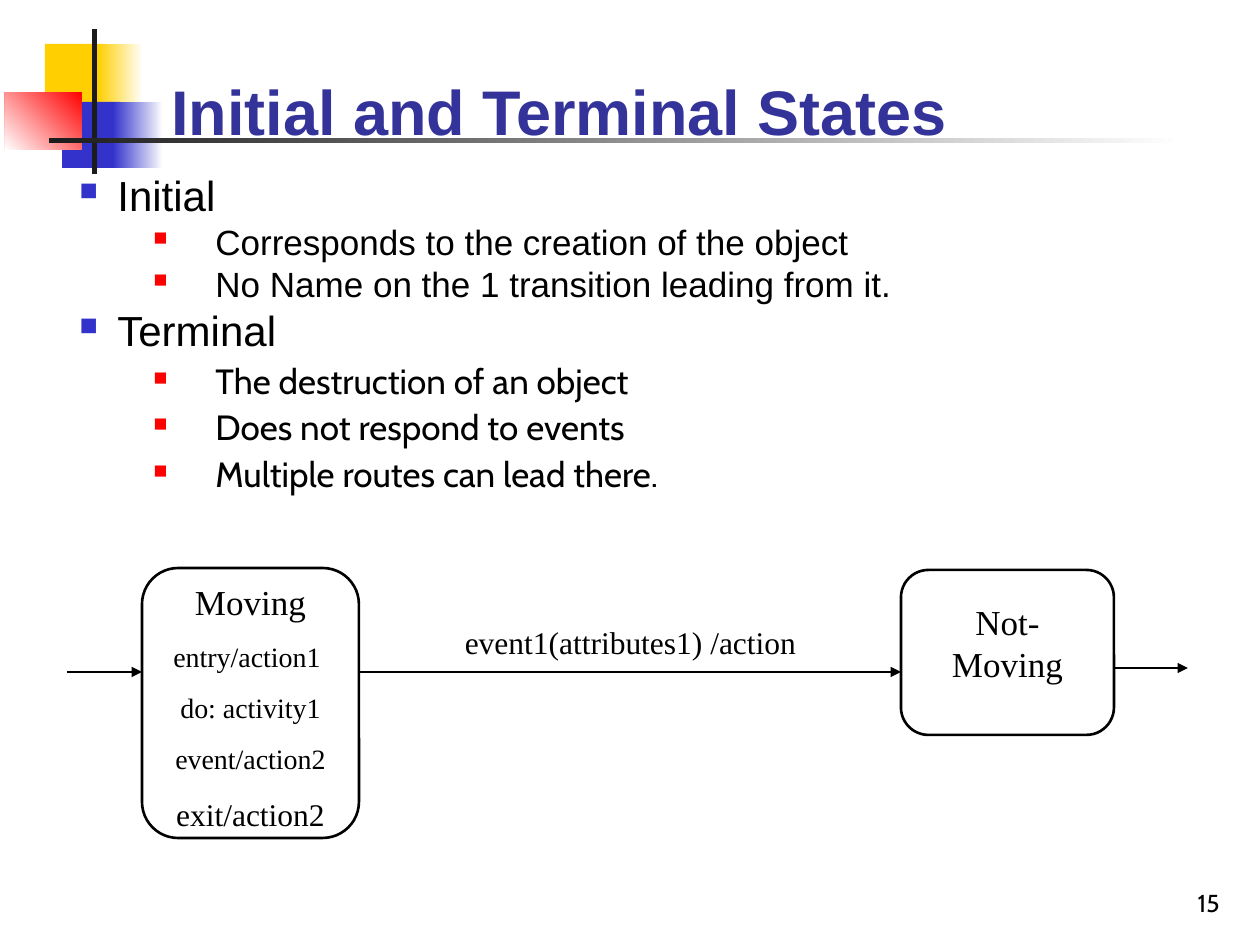
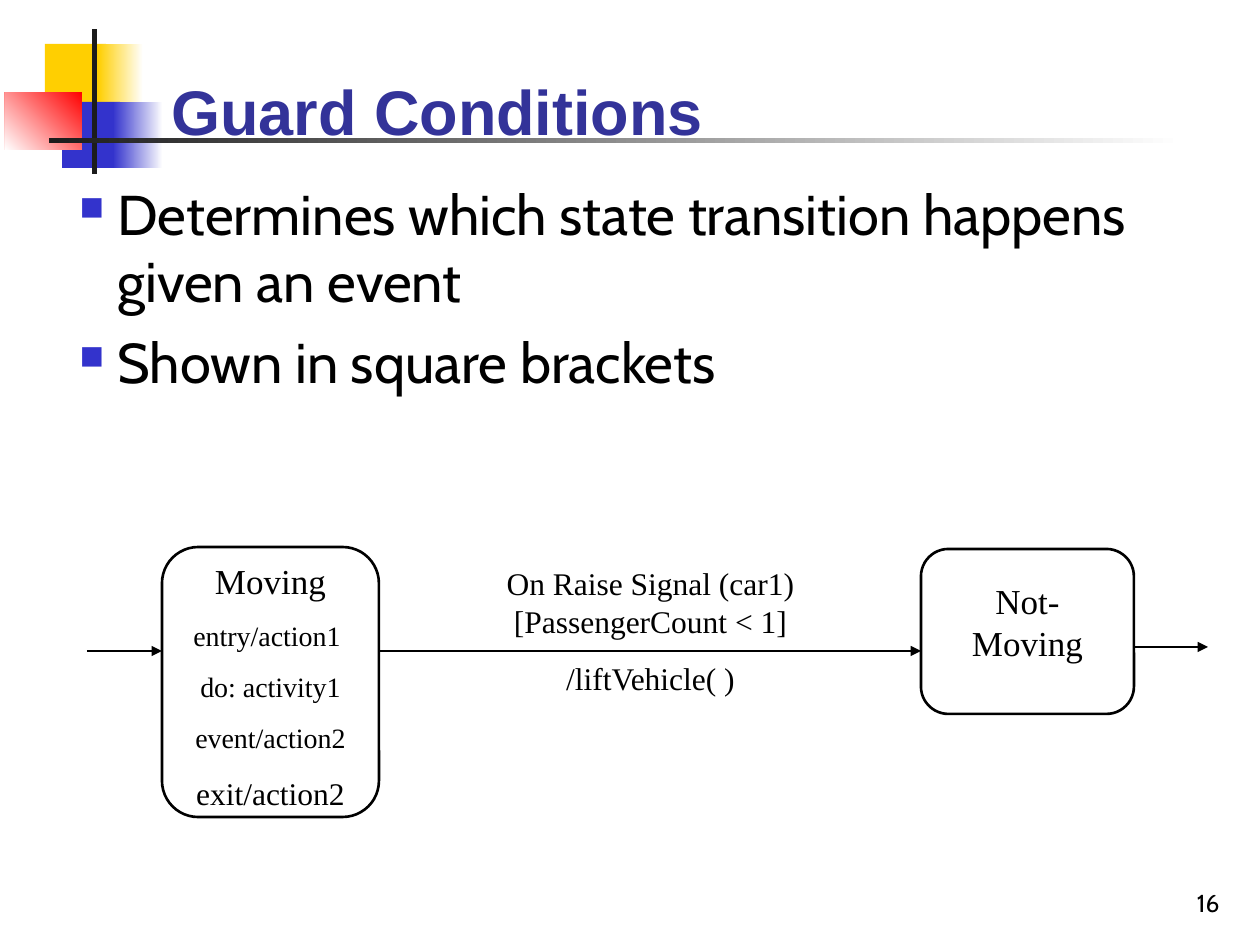
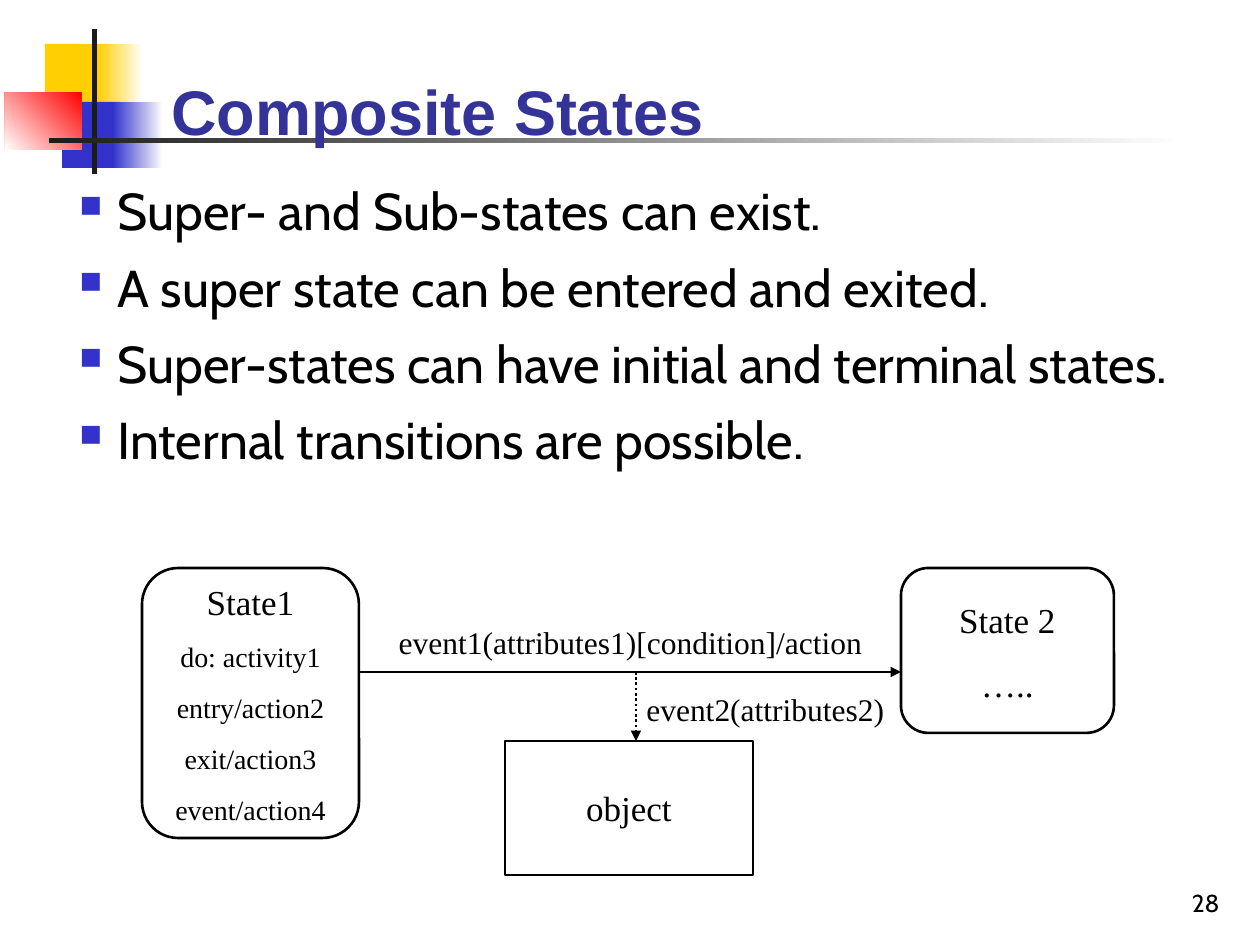
from math import ceil

from lxml.etree import SubElement
from pptx import Presentation
from pptx.dml.color import RGBColor
from pptx.enum.dml import MSO_LINE
from pptx.enum.shapes import MSO_CONNECTOR, MSO_SHAPE
from pptx.enum.text import MSO_ANCHOR, PP_ALIGN
from pptx.oxml.ns import qn
from pptx.util import Pt

PX = 914400 / 126
COLORS = {
    "ink": "000000", "title": "333399", "blue": "3333CC", "yellow": "FFCF01",
    "red": "FF0000", "bar": "1C1C1C", "white": "FFFFFF",
}
TITLE = {"name": "Arial", "size": Pt(36), "bold": True}
NUMBER = {"name": "Cabin", "size": Pt(14)}
BULLETS = [
    {"color": "blue", "percent": 60, "left": 38, "hang": 38},
    {"color": "red", "percent": 55, "left": 136, "hang": 62},
]
MOVING = [("Moving", 20), ("entry/action1 ", 16), ("do: activity1", 16),
          ("event/action2", 16), ("exit/action2", 18)]
STATE1 = [("State1", 20), ("do: activity1", 16), ("entry/action2", 16),
          ("exit/action3", 16), ("event/action4", 16)]


def px(*values):
    """Turn px lengths into a list of EMU."""
    return [round(v * PX) for v in values]


def rgb(name):
    """Look up a named colour."""
    return RGBColor.from_string(COLORS[name])


def add_box(s, box, anchor=MSO_ANCHOR.TOP):
    """Add a wrapping text box and return its text frame."""
    tf = s.shapes.add_textbox(*px(*box)).text_frame
    fmt = {"word_wrap": True, "vertical_anchor": anchor}
    fmt.update(zip(("margin_left", "margin_top", "margin_right", "margin_bottom"),
                   px(12.6, 6.3, 12.6, 6.3)))
    for key, value in fmt.items():
        setattr(tf, key, value)
    return tf


def add_par(tf, text, font, color="ink", before=0, **fmt):
    """Fill the first paragraph, or add one with space before it."""
    p = tf.paragraphs[0]
    if p.runs:
        p = tf.add_paragraph()
        p.space_before = Pt(before)
    for key, value in fmt.items():
        setattr(p, key, value)
    r = p.add_run()
    r.text = text
    for key, value in font.items():
        setattr(r.font, key, value)
    r.font.color.rgb = rgb(color)
    return p


def add_shape(s, kind, box):
    """Add a preset shape without shadow, fill or line."""
    sp = s.shapes.add_shape(kind, *px(*box))
    sp.shadow.inherit = False
    sp.fill.background()
    sp.line.fill.background()
    return sp


def add_block(s, box, start, end=None, angle=0):
    """Add a decorative rectangle with a plain or gradient fill."""
    fill = add_shape(s, MSO_SHAPE.RECTANGLE, box).fill
    if end is None:
        fill.solid()
        fill.fore_color.rgb = rgb(start)
        return
    fill.gradient()
    fill.gradient_angle = angle
    for stop, name in zip(fill.gradient_stops, (start, end)):
        stop.color.rgb = rgb(name)


def add_frame(s, title, number):
    """Draw the corner ornament, title and slide number."""
    add_block(s, (45, 44, 61, 66), "yellow")
    add_block(s, (98, 44, 45, 66), "white", "yellow", 180)
    add_block(s, (62, 102, 58, 66), "blue")
    add_block(s, (113, 102, 50, 66), "white", "blue", 180)
    add_block(s, (5, 92, 77, 58), "red", "white", 225)
    add_block(s, (92, 29, 5, 145), "bar")
    add_block(s, (49, 138, 1134, 5), "white", "bar", 180)
    add_par(add_box(s, (159, 52, 1074, 102), MSO_ANCHOR.BOTTOM), title, TITLE, "title")
    add_par(add_box(s, (970, 861, 262, 63), MSO_ANCHOR.BOTTOM), str(number), NUMBER,
            alignment=PP_ALIGN.RIGHT)


def add_bullets(s, box, items):
    """Write items of level, text, size, font name and line spacing."""
    tf = add_box(s, box)
    for level, text, size, name, spacing in items:
        p = add_par(tf, text, {"name": name, "size": Pt(size)}, before=ceil(size / 4),
                    level=level, line_spacing=spacing)
        style = BULLETS[level]
        left, hang = px(style["left"], style["hang"])
        pPr = p._p.get_or_add_pPr()
        pPr.set("marL", str(left))
        pPr.set("indent", str(-hang))
        color = SubElement(pPr, qn("a:buClr"))
        SubElement(color, qn("a:srgbClr"), val=COLORS[style["color"]])
        SubElement(pPr, qn("a:buSzPct"), val=str(style["percent"] * 1000))
        SubElement(pPr, qn("a:buChar"), char="■")


def add_label(s, box, lines, align=PP_ALIGN.CENTER):
    """Write diagram text given as lines of text and size."""
    tf = add_box(s, box)
    for text, size in lines:
        add_par(tf, text, {"name": "Times New Roman", "size": Pt(size)},
                before=size * 0.625, alignment=align)


def add_node(s, box, inset, lines, kind=MSO_SHAPE.ROUNDED_RECTANGLE):
    """Draw an outlined node with its text inset from the sides and top."""
    x, y, w, h = box
    dx, dy = inset
    sp = add_shape(s, kind, box)
    sp.line.color.rgb = rgb("ink")
    sp.line.width = Pt(1.5)
    add_label(s, (x + dx, y + dy, w - 2 * dx, h - dy), lines)


def add_arrow(s, x1, y1, x2, y2, dash=None):
    """Draw a line with an arrowhead at its end."""
    c = s.shapes.add_connector(MSO_CONNECTOR.STRAIGHT, *px(x1, y1, x2, y2))
    c.line.color.rgb = rgb("ink")
    c.line.width = Pt(1.5)
    c.line.dash_style = dash
    SubElement(c.line._get_or_add_ln(), qn("a:tailEnd"), type="triangle")
    SubElement(c._element.spPr, qn("a:effectLst"))


def add_transition(s, x, y, first, second, label, label_top, second_top=0):
    """Draw two states and the labelled arrow between them."""
    add_node(s, (x, y, 217, 270), (17, 6), first)
    add_node(s, (x + 759, y + second_top, 213, 165), (12, 24), second)
    add_arrow(s, x + 217, y + 104, x + 759, y + 104)
    add_label(s, (x + 227, y + label_top, 523, 50), label)


def add_moving(s, x, y, label, label_top):
    """Draw the moving diagram with its entry and exit arrows."""
    add_transition(s, x, y, MOVING, [("Not-Moving", 20)], label, label_top, 2)
    add_arrow(s, x - 75, y + 104, x, y + 104)
    add_arrow(s, x + 972, y + 100, x + 1046, y + 100)


def add_composite(s, x, y):
    """Draw the two states and the object that receives an event."""
    add_transition(s, x, y, STATE1, [("State 2", 20), ("…..", 20)],
                   [("event1(attributes1)[condition]/action", 18)], 49)
    add_node(s, (x + 363, y + 173, 248, 134), (22, 39), [("object", 20)],
             MSO_SHAPE.RECTANGLE)
    add_arrow(s, x + 494, y + 104, x + 494, y + 173, MSO_LINE.ROUND_DOT)
    add_label(s, (x + 492, y + 116, 267, 50), [("event2(attributes2)", 18)],
              PP_ALIGN.LEFT)


def add_slide(prs, title, number, items):
    """Add a slide with its frame and bullets."""
    s = prs.slides.add_slide(prs.slide_layouts[6])
    add_frame(s, title, number)
    add_bullets(s, (67, 173, 1133, 379), items)
    return s


def main():
    """Build and save the slides."""
    prs = Presentation()
    prs.slide_width, prs.slide_height = px(1260, 945)

    s = add_slide(prs, "Initial and Terminal States", 15, [
        (0, "Initial", 24, "Arial", 0.8),
        (1, "Corresponds to the creation of the object", 20, "Arial", 0.8),
        (1, "No Name on the 1 transition leading from it.", 20, "Arial", 0.8),
        (0, "Terminal", 24, "Arial", 0.8),
        (1, "The destruction of an object", 20, "Cabin", 0.9),
        (1, "Does not respond to events", 20, "Cabin", 0.9),
        (1, "Multiple routes can lead there.", 20, "Cabin", 0.9),
    ])
    add_moving(s, 142, 568, [("event1(attributes1) /action", 18)], 49)

    s = add_slide(prs, "Guard Conditions", 16, [
        (0, text, 32, "Cabin", 1.0) for text in (
            "Determines which state transition happens given an event",
            "Shown in square brackets")
    ])
    add_moving(s, 162, 547, [("On Raise Signal (car1)[PassengerCount < 1]", 18),
                             ("/liftVehicle( )", 18)], 11)

    s = add_slide(prs, "Composite States", 28, [
        (0, text, 29.6, "Cabin", 1.0) for text in (
            "Super- and Sub-states can exist.",
            "A super state can be entered and exited.",
            "Super-states can have initial and terminal states.",
            "Internal transitions are possible.")
    ])
    add_composite(s, 142, 568)

    prs.save("out.pptx")


if __name__ == "__main__":
    main()
